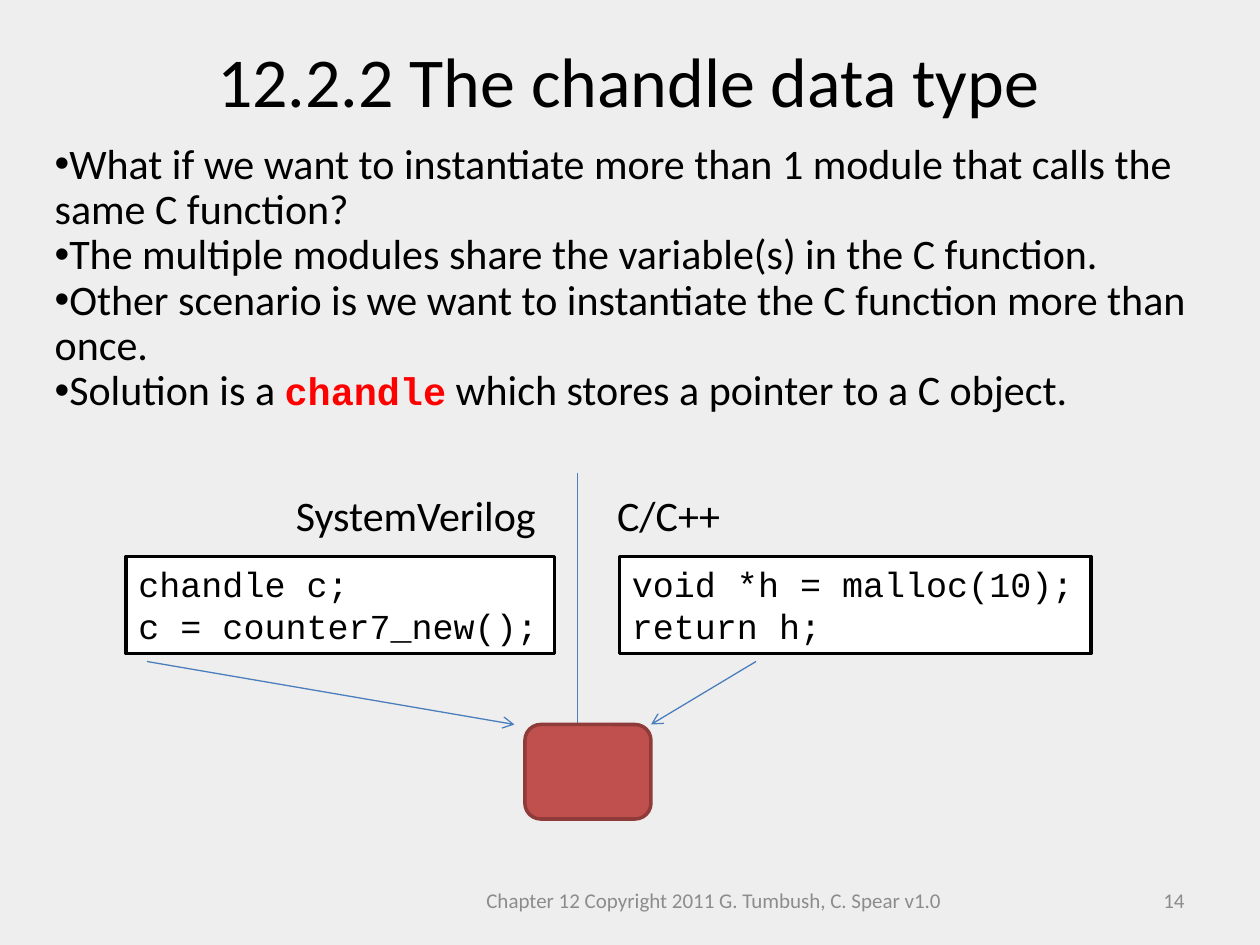
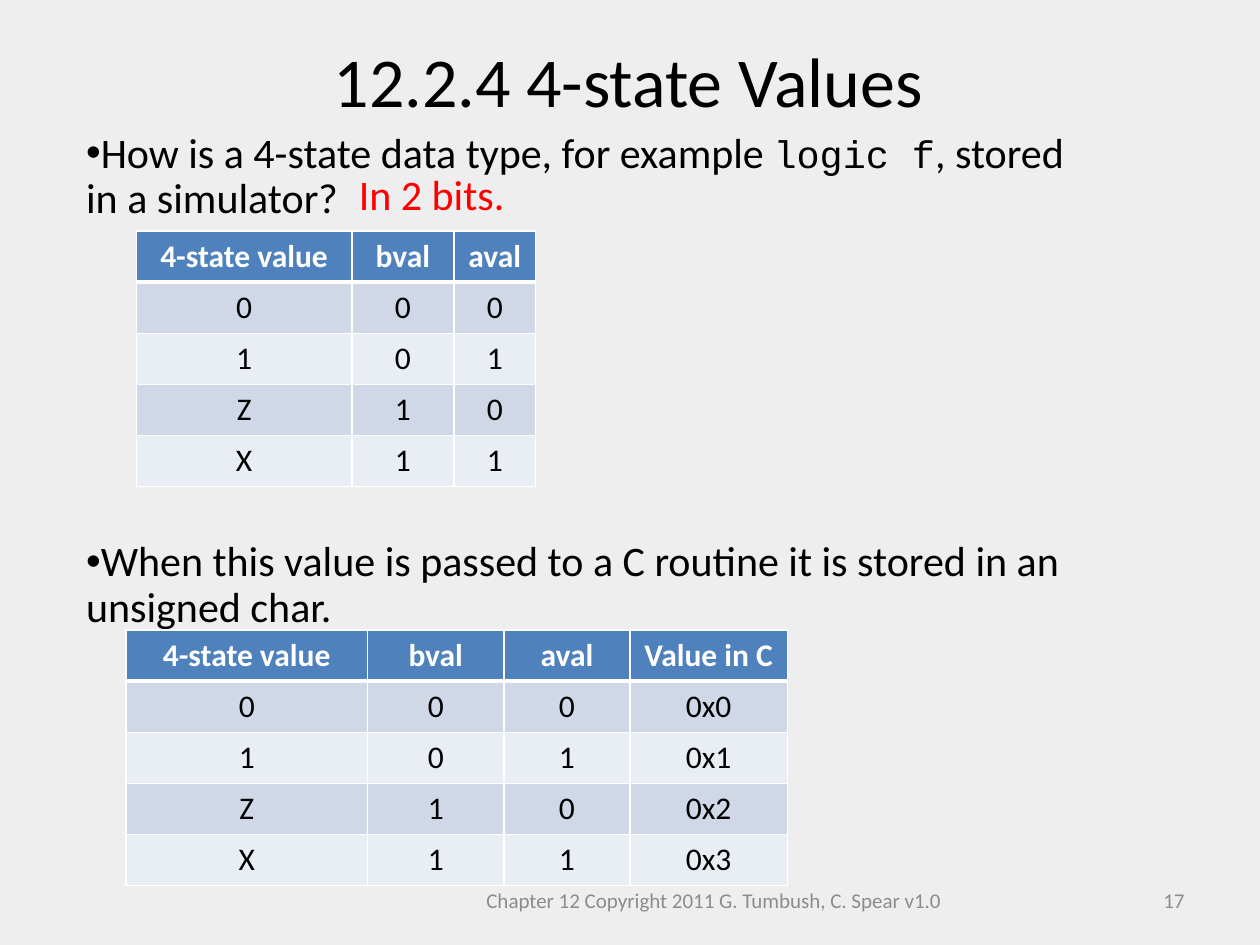
"""Build two lecture slides on chandle pointers and 4-state values in DPI."""
from lxml import etree
from pptx import Presentation
from pptx import util as u
from pptx.dml.color import RGBColor
from pptx.enum import shapes, text
from pptx.oxml import ns

Pt = u.Pt
COLORS = {
    "background": "EEEEEE", "ink": "000000", "accent": "FF0000", "footer": "8C8C8C",
    "paper": "FFFFFF", "arrow": "4B7EBC", "memory": "C0504D", "memory_edge": "8E3B39",
    "header": "4F81BD", "band_dark": "D0D8E8", "band_light": "E9EDF4",
}
BODY_FONT, CODE_FONT = "Calibri", "Courier New"
FOOTER = "Chapter 12 Copyright 2011 G. Tumbush, C. Spear v1.0"
ROW_HEIGHT = 29.25


def rgb(name):
    return RGBColor.from_string(COLORS[name])


def set_font(font, size, color="ink", face=BODY_FONT, bold=None):
    font.size, font.name, font.bold = Pt(size), face, bold
    font.color.rgb = rgb(color)


def place(shape, left, top, width, height):
    shape.left, shape.top = Pt(left), Pt(top)
    shape.width, shape.height = Pt(width), Pt(height)


def write(frame, lines, size, color="ink", face=BODY_FONT, align=text.PP_ALIGN.LEFT, wrap=True):
    frame.word_wrap = wrap
    frame.text = "\n".join(lines)
    for paragraph in frame.paragraphs:
        paragraph.alignment = align
        set_font(paragraph.font, size, color, face)


def add_label(slide, box, wording, size, color="ink", wrap=False,
              align=text.PP_ALIGN.LEFT, anchor=text.MSO_ANCHOR.TOP):
    label = slide.shapes.add_textbox(*map(Pt, box))
    write(label.text_frame, [wording], size, color, align=align, wrap=wrap)
    label.text_frame.vertical_anchor = anchor
    return label


def add_slide(deck, title, number):
    slide = deck.slides.add_slide(deck.slide_layouts[1])
    heading = slide.shapes.title
    place(heading, 24, 18, 670, 55.5)
    write(heading.text_frame, [title], 40, align=text.PP_ALIGN.CENTER)
    heading.text_frame.vertical_anchor = text.MSO_ANCHOR.TOP
    heading.text_frame.auto_size = text.MSO_AUTO_SIZE.NONE
    for box, wording, align in (
        ((246, 500, 324, 29), FOOTER, text.PP_ALIGN.CENTER),
        ((516, 500, 168, 29), number, text.PP_ALIGN.RIGHT),
    ):
        add_label(slide, box, wording, 12, "footer", True, align, text.MSO_ANCHOR.MIDDLE)
    return slide


def fill_bullets(slide, box, bullets, gap=0):
    body = slide.placeholders[1]
    place(body, *box)
    frame = body.text_frame
    frame.auto_size = text.MSO_AUTO_SIZE.NONE
    for index, pieces in enumerate(bullets):
        paragraph = frame.paragraphs[0] if index == 0 else frame.add_paragraph()
        properties = paragraph._p.get_or_add_pPr()
        properties.set("marL", "0")
        properties.set("indent", "0")
        etree.SubElement(properties, ns.qn("a:buFont"), typeface="Arial")
        etree.SubElement(properties, ns.qn("a:buChar"), char="•")
        paragraph.line_spacing = 0.9
        paragraph.space_before = Pt(gap if index else 0)
        set_font(paragraph.font, 24)
        for piece in pieces:
            run = paragraph.add_run()
            if isinstance(piece, tuple):
                run.text, color, bold = piece
                set_font(run.font, 22, color, CODE_FONT, bold)
            else:
                run.text = piece


def add_block(slide, kind, box, fill, edge):
    block = slide.shapes.add_shape(kind, *map(Pt, box))
    block.shadow.inherit = False
    block.fill.solid()
    block.fill.fore_color.rgb = rgb(fill)
    block.line.color.rgb = rgb(edge)
    block.line.width = Pt(2)
    return block


def add_code(slide, box, lines):
    code = add_block(slide, shapes.MSO_SHAPE.RECTANGLE, box, "paper", "ink")
    write(code.text_frame, lines, 20, face=CODE_FONT, wrap=False)
    code.text_frame.vertical_anchor = text.MSO_ANCHOR.TOP


def add_line(slide, start, end, arrow=False):
    line = slide.shapes.add_connector(shapes.MSO_CONNECTOR.STRAIGHT, *map(Pt, start + end))
    line.line.color.rgb = rgb("arrow")
    line.line.width = Pt(0.75)
    if arrow:
        etree.SubElement(line.line._get_or_add_ln(), ns.qn("a:tailEnd"), type="arrow")
    etree.SubElement(line._element.spPr, ns.qn("a:effectLst"))


def set_borders(cell, widths):
    properties = cell._tc.get_or_add_tcPr()
    for side, width in widths.items():
        border = etree.SubElement(properties, ns.qn(f"a:ln{side}"), w=str(Pt(width)))
        paint = etree.SubElement(border, ns.qn("a:solidFill"))
        etree.SubElement(paint, ns.qn("a:srgbClr"), val=COLORS["paper"])


def add_value_table(slide, left, top, widths, rows):
    height = ROW_HEIGHT * len(rows)
    table = slide.shapes.add_table(
        len(rows), len(widths), Pt(left), Pt(top), Pt(sum(widths)), Pt(height)).table
    for column, width in zip(table.columns, widths):
        column.width = Pt(width)
    for r, values in enumerate(rows):
        table.rows[r].height = Pt(ROW_HEIGHT)
        fill = "header" if r == 0 else ("band_light", "band_dark")[r % 2]
        for c, value in enumerate(values):
            cell = table.cell(r, c)
            set_borders(cell, {"L": 1, "R": 1, "T": 3 if r == 1 else 1, "B": 3 if r == 0 else 1})
            cell.fill.solid()
            cell.fill.fore_color.rgb = rgb(fill)
            cell.text = value
            paragraph = cell.text_frame.paragraphs[0]
            paragraph.alignment = text.PP_ALIGN.CENTER
            set_font(paragraph.font, 18, "paper" if r == 0 else "ink", bold=r == 0)


def build_chandle_slide(deck):
    slide = add_slide(deck, "12.2.2 The chandle data type", "14")
    fill_bullets(slide, (24, 78, 672, 164), [
        ["What if we want to instantiate more than 1 module that calls the same C function?"],
        ["The multiple modules share the variable(s) in the C function."],
        ["Other scenario is we want to instantiate the C function more than once."],
        ["Solution is a ", ("chandle", "accent", True), " which stores a pointer to a C object."],
    ])
    add_line(slide, (330, 270), (330, 456))
    add_label(slide, (162, 276, 158.5, 36), "SystemVerilog", 24)
    add_label(slide, (345.5, 276, 74, 36), "C/C++", 24)
    add_code(slide, (354, 318, 269.5, 55.5), ["void *h = malloc(10);", "return h;"])
    add_code(slide, (72, 318, 245, 55.5), ["chandle c;", "c = counter7_new();"])
    add_block(slide, shapes.MSO_SHAPE.ROUNDED_RECTANGLE, (300, 414, 72, 54),
              "memory", "memory_edge")
    add_line(slide, (432, 378), (372, 414), arrow=True)
    add_line(slide, (84, 378), (294, 414), arrow=True)


def build_four_state_slide(deck):
    slide = add_slide(deck, "12.2.4 4-state Values", "17")
    fill_bullets(slide, (42, 72, 582, 295), [
        ["How is a 4-state data type, for example ", ("logic f", "ink", None),
         ", stored in a simulator?"],
        ["When this value is passed to a C routine it is stored in an unsigned char."],
    ], gap=181.5)
    states = [["4-state value", "bval", "aval"],
              ["0", "0", "0"], ["1", "0", "1"], ["Z", "1", "0"], ["X", "1", "1"]]
    c_values = ["Value in C", "0x0", "0x1", "0x2", "0x3"]
    add_value_table(slide, 78, 132, [123, 58.5, 46.5], states)
    answer = add_label(slide, (198, 96, 114, 33), "In 2 bits.", 24, "accent", wrap=True)
    answer.text_frame.paragraphs[0].line_spacing = 0.9
    add_value_table(slide, 72, 360, [138, 78, 72, 90],
                    [row + [value] for row, value in zip(states, c_values)])


def main():
    deck = Presentation()
    deck.slide_width, deck.slide_height = Pt(720), Pt(540)
    backdrop = deck.slide_master.background.fill
    backdrop.solid()
    backdrop.fore_color.rgb = rgb("background")
    build_chandle_slide(deck)
    build_four_state_slide(deck)
    deck.save("out.pptx")


if __name__ == "__main__":
    main()
